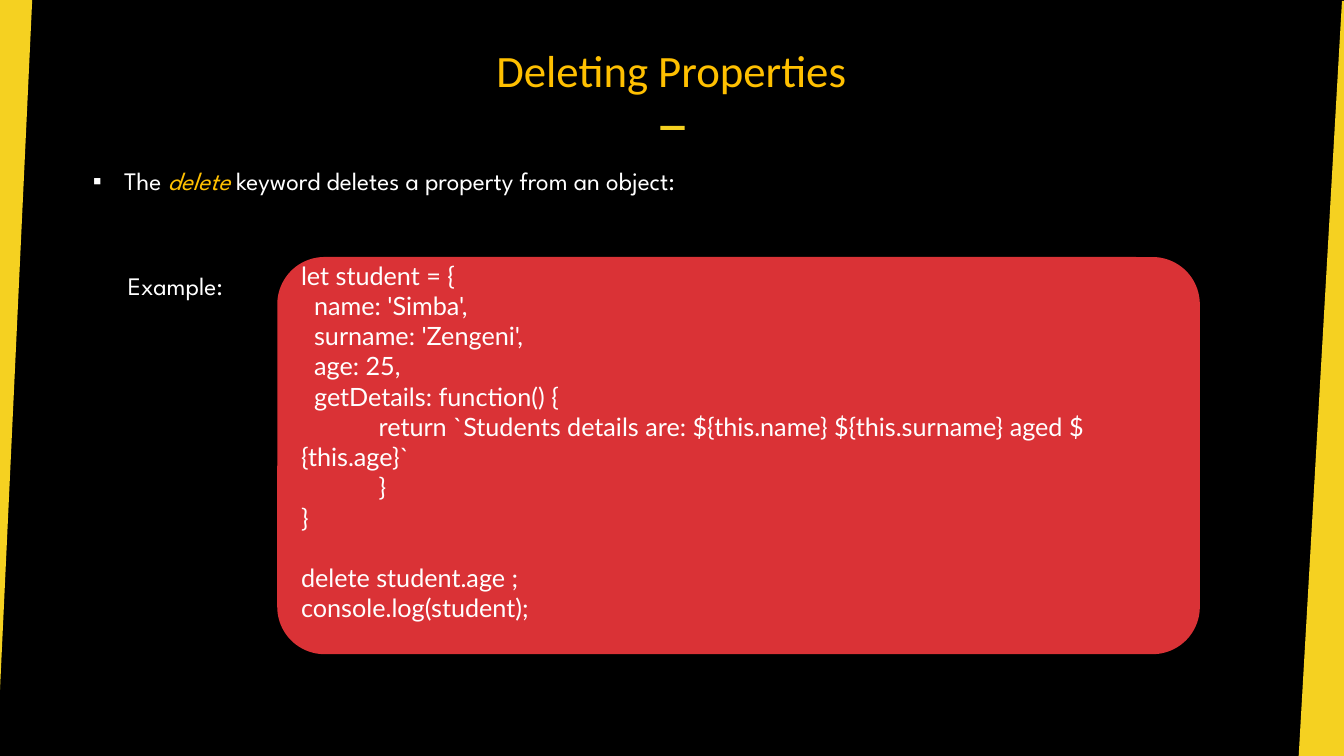
from pptx import Presentation
from pptx.dml.color import RGBColor
from pptx.enum.shapes import MSO_SHAPE as Kind
from pptx.enum.text import MSO_ANCHOR as Anchor, MSO_AUTO_SIZE as Fit, PP_ALIGN as Align
from pptx.oxml.ns import qn
from pptx.util import Inches, Pt
from lxml.etree import SubElement as Sub

YELLOW, GOLD, RED, WHITE, BLACK = "F5D121", "FFC000", "DA3236", "FFFFFF", "000000"
SPARTAN = "League Spartan"
STEP = 0.13
DEEP = 0.77
LINE = 21.6
CODE = [
    (0, 0, "let student = {"),
    (STEP, 0, "name: 'Simba',"),
    (STEP, 0, "surname: 'Zengeni',"),
    (STEP, 0, "age: 25,"),
    (STEP, 0, "getDetails: function() {"),
    (DEEP, 0, "return `Students details are: ${this.name} ${this.surname} aged ${this.age}`"),
    (DEEP, 0, "}"),
    (0, 0, "}"),
    (0, LINE, "delete student.age ;"),
    (0, 0, "console.log(student);"),
]


def paint(fill, color):
    fill.solid()
    fill.fore_color.rgb = RGBColor.from_string(color)


def plain(shape, color):
    paint(shape.fill, color)
    shape.line.fill.background()
    shape.shadow.inherit = False


def wing(slide, points):
    start, *rest = [(Inches(x), Inches(y)) for x, y in points]
    form = slide.shapes.build_freeform(*start)
    form.add_line_segments(rest, close=True)
    plain(form.convert_to_shape(), YELLOW)


def block(slide, kind, box, color):
    shape = slide.shapes.add_shape(kind, *map(Inches, box))
    plain(shape, color)
    return shape


def place(shape, box):
    shape.left, shape.top, shape.width, shape.height = map(Inches, box)


def setup(frame, anchor, top=0.05, bottom=0.05):
    frame.word_wrap = True
    frame.auto_size = Fit.NONE
    frame.vertical_anchor = anchor
    frame.margin_left = frame.margin_right = Inches(0.1)
    frame.margin_top, frame.margin_bottom = Inches(top), Inches(bottom)


def write(para, text, font, color=WHITE, size=18, slant=False):
    run = para.add_run()
    run.text = text
    run.font.name, run.font.size, run.font.italic = font, Pt(size), slant
    run.font.color.rgb = RGBColor.from_string(color)


def indent(para, left, first):
    props = para._p.get_or_add_pPr()
    props.set("marL", str(Inches(left)))
    props.set("indent", str(Inches(first)))
    return props


def head(slide):
    title = slide.shapes.title
    place(title, (2.1, 0.21, 9.12, 0.75))
    setup(title.text_frame, Anchor.BOTTOM, 0.04, 0)
    para = title.text_frame.paragraphs[0]
    para.alignment = Align.CENTER
    write(para, "Deleting Properties", "Calibri", GOLD, 32)


def point(slide):
    body = slide.placeholders[1]
    place(body, (0.82, 1.59, 11.71, 0.4))
    setup(body.text_frame, Anchor.TOP)
    para = body.text_frame.paragraphs[0]
    para.space_before = Pt(0)
    Sub(indent(para, 0.31, -0.31), qn("a:buChar"), char="▪")
    write(para, "The ", SPARTAN)
    write(para, "delete", SPARTAN, GOLD, slant=True)
    write(para, " keyword deletes a property from an object:", SPARTAN)


def code(slide):
    panel = block(slide, Kind.ROUNDED_RECTANGLE, (2.75, 2.55, 9.15, 3.94), RED)
    panel.adjustments[0] = 0.119
    frame = panel.text_frame
    setup(frame, Anchor.MIDDLE, 0, 0.28)
    for row, (first, gap, text) in enumerate(CODE):
        para = frame.add_paragraph() if row else frame.paragraphs[0]
        para.alignment = Align.LEFT
        para.space_before = Pt(gap)
        indent(para, 0, first)
        write(para, text, "Lato")


def label(slide):
    box = slide.shapes.add_textbox(*map(Inches, (1.17, 2.63, 11.71, 0.4)))
    setup(box.text_frame, Anchor.TOP)
    write(box.text_frame.paragraphs[0], "Example:", SPARTAN)


def main():
    deck = Presentation()
    deck.slide_width, deck.slide_height = Inches(13.33), Inches(7.5)
    slide = deck.slides.add_slide(deck.slide_layouts[1])
    paint(slide.background.fill, BLACK)
    wing(slide, [(-0.03, 7.5), (-0.05, 7.5), (-0.05, 0), (0.32, 0)])
    wing(slide, [(13.31, 0.01), (13.33, 0.01), (13.33, 7.51), (12.88, 7.51)])
    block(slide, Kind.RECTANGLE, (6.55, 1.25, 0.24, 0.04), YELLOW)
    head(slide)
    point(slide)
    code(slide)
    label(slide)
    deck.save("out.pptx")


if __name__ == "__main__":
    main()
